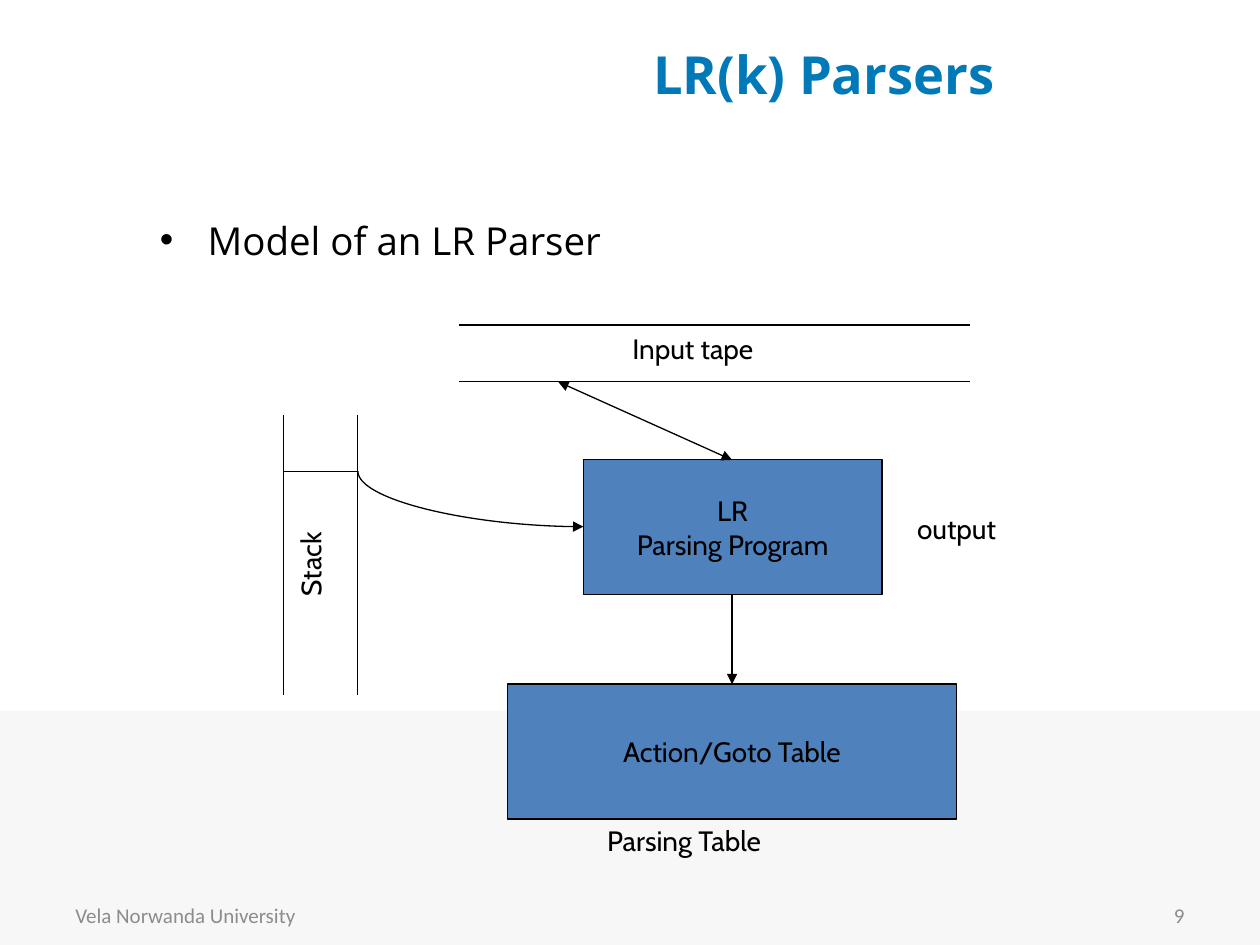
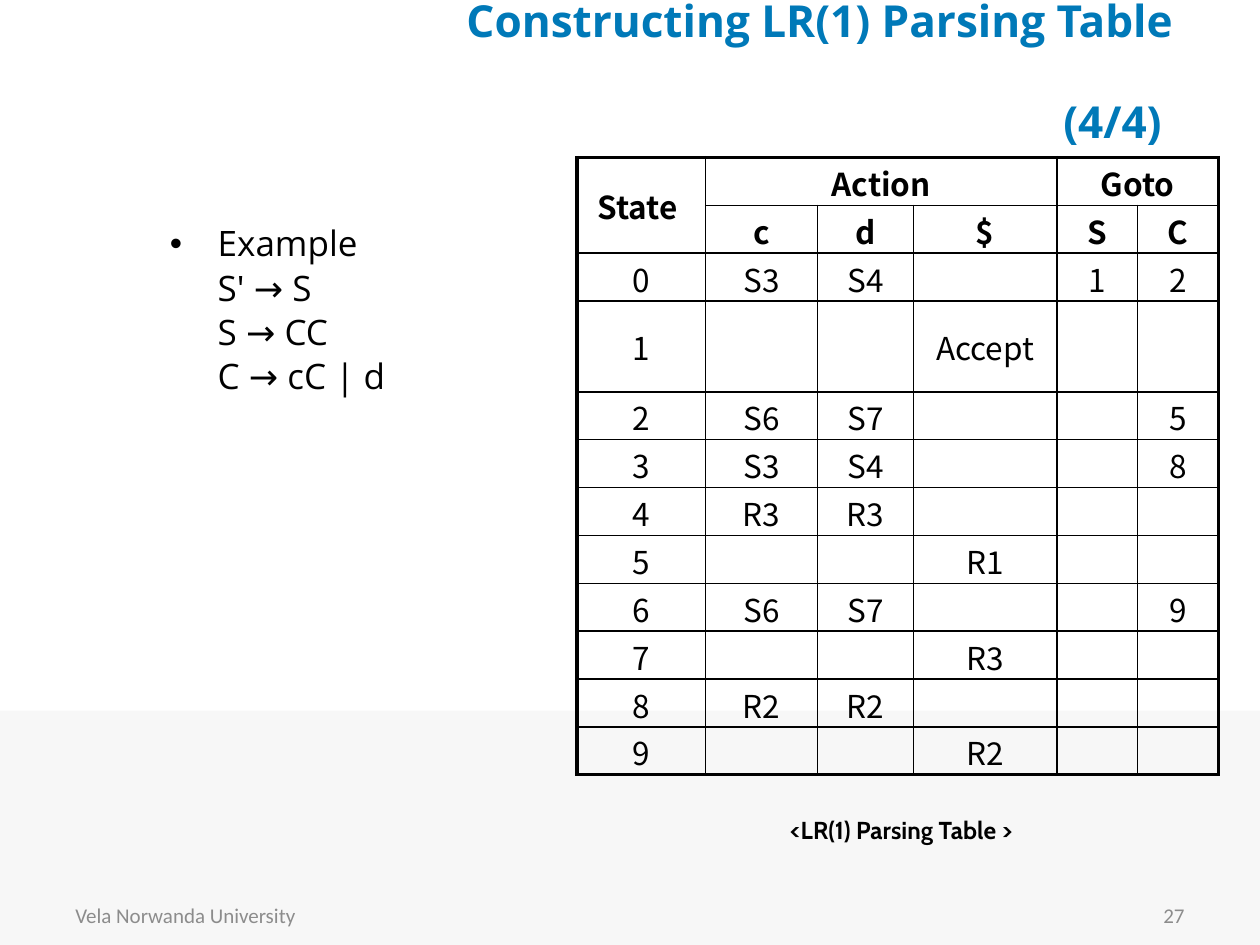
from typing import NamedTuple, Optional

from lxml.etree import SubElement
from pptx import Presentation
from pptx.dml.color import RGBColor
from pptx.enum.shapes import MSO_CONNECTOR as Route, MSO_SHAPE as Preset
from pptx.enum.text import MSO_ANCHOR as Anchor, PP_ALIGN as Align
from pptx.oxml.ns import qn
from pptx.util import Inches, Pt

BLUE_TITLE = RGBColor(0x00, 0x79, 0xB8)
BLUE_BOX = RGBColor(0x4F, 0x81, 0xBD)
GREY_BAND = RGBColor(0xF7, 0xF7, 0xF7)
GREY_FOOTER = RGBColor(0x8C, 0x8C, 0x8C)
BLACK = RGBColor(0, 0, 0)
UNIVERSITY = "Vela Norwanda University"


class Style(NamedTuple):
    font: str
    size: float
    color: RGBColor = BLACK
    bold: bool = False
    align: Align = Align.LEFT
    anchor: Anchor = Anchor.TOP


class Box(NamedTuple):
    left: float
    top: float
    width: float
    height: float

    def lengths(self) -> list:
        return [Inches(value) for value in self]


class Label(NamedTuple):
    text: str
    box: Box
    rotation: float = 0


class Line(NamedTuple):
    x1: float
    y1: float
    x2: float
    y2: float
    head: bool = False
    tail: bool = False


TITLE = Style("Open Sans", 30, BLUE_TITLE, True, Align.CENTER, Anchor.MIDDLE)
LONG_TITLE = TITLE._replace(size=25.2, align=Align.RIGHT)
FOOTER = Style("Calibri", 12, GREY_FOOTER, anchor=Anchor.MIDDLE)
PAGE_NUMBER = FOOTER._replace(align=Align.RIGHT)
DIAGRAM = Style("Cabin", 16)
DIAGRAM_BOX = DIAGRAM._replace(align=Align.CENTER, anchor=Anchor.MIDDLE)
CAPTION = Style("Cabin", 14, bold=True)
CELL = Style("Noto Sans CJK KR", 18, align=Align.CENTER, anchor=Anchor.MIDDLE)
HEADER_CELL = CELL._replace(bold=True)

DIAGRAM_LABELS = [
    Label("output", Box(7.18, 4.01, 1.58, 0.42)),
    Label("Input tape", Box(4.92, 2.58, 1.58, 0.42)),
    Label("Stack", Box(1.8, 3.89, 1.42, 0.46), 270),
    Label("Parsing Table", Box(4.72, 6.49, 2.08, 0.42)),
]
PROCESS_BOXES = [
    Label("LR\vParsing Program", Box(4.63, 3.65, 2.37, 1.07)),
    Label("Action/Goto Table", Box(4.03, 5.43, 3.56, 1.07)),
]
TAPE_EDGES = [Line(3.64, y, 7.7, y) for y in (2.58, 3.03)]
STACK_EDGES = [Line(x, 3.29, x, 5.52) for x in (2.25, 2.84)]
STACK_TOP = Line(2.25, 3.74, 2.84, 3.74)
TAPE_ARROW = Line(4.43, 3.03, 5.81, 3.65, head=True, tail=True)
TABLE_ARROW = Line(5.81, 4.72, 5.81, 5.43, tail=True)
STACK_ARROW = Line(2.84, 3.74, 4.63, 4.18, tail=True)

COLUMN_WIDTHS = [1.02, 0.89, 0.76, 1.14, 0.64, 0.64]
ROW_HEIGHT, ACCEPT_ROW_HEIGHT = 0.38, 0.72
HEADER_ROWS = 2
MERGES = [((0, 0), (1, 0)), ((0, 1), (0, 3)), ((0, 4), (0, 5))]
PARSING_TABLE = [
    ["State ", "Action", "", "", "Goto", ""],
    ["", "c", "d", "$", "S", "C"],
    ["0", "S3", "S4", "", "1", "2"],
    ["1", "", "", "Accept", "", ""],
    ["2", "S6", "S7", "", "", "5"],
    ["3", "S3", "S4", "", "", "8"],
    ["4", "R3", "R3", "", "", ""],
    ["5", "", "", "R1", "", ""],
    ["6", "S6", "S7", "", "", "9"],
    ["7", "", "", "R3", "", ""],
    ["8", "R2", "R2", "", "", ""],
    ["9", "", "", "R2", "", ""],
]


def write(frame, text: str, style: Style) -> None:
    frame.text = text
    frame.vertical_anchor = style.anchor
    for paragraph in frame.paragraphs:
        paragraph.alignment = style.align
        for font in [paragraph.font] + [run.font for run in paragraph.runs]:
            font.name = style.font
            font.size = Pt(style.size)
            font.bold = style.bold
            font.color.rgb = style.color


def add_text(slide, text: str, box: Box, style: Style, rotation: float = 0):
    text_box = slide.shapes.add_textbox(*box.lengths())
    text_box.rotation = rotation
    text_box.text_frame.word_wrap = True
    write(text_box.text_frame, text, style)
    return text_box.text_frame


def add_rectangle(slide, box: Box, fill: RGBColor, outline: Optional[RGBColor] = None):
    rectangle = slide.shapes.add_shape(Preset.RECTANGLE, *box.lengths())
    rectangle.shadow.inherit = False
    rectangle.fill.solid()
    rectangle.fill.fore_color.rgb = fill
    if outline is None:
        rectangle.line.fill.background()
    else:
        rectangle.line.color.rgb = outline
        rectangle.line.width = Pt(0.75)
    return rectangle


def add_line(slide, line: Line, route: Route = Route.STRAIGHT):
    ends = [Inches(value) for value in line[:4]]
    connector = slide.shapes.add_connector(route, *ends)
    connector.line.color.rgb = BLACK
    connector.line.width = Pt(0.75)
    properties = connector._element.spPr
    outline = properties.find(qn("a:ln"))
    for tag, wanted in (("a:headEnd", line.head), ("a:tailEnd", line.tail)):
        if wanted:
            SubElement(outline, qn(tag), type="triangle")
    SubElement(properties, qn("a:effectLst"))
    return connector


def add_quarter_curve(slide, line: Line) -> None:
    """Draw a curve that leaves downwards and arrives from the left."""
    middle_x, middle_y = (line.x1 + line.x2) / 2, (line.y1 + line.y2) / 2
    half_width, half_height = (line.y2 - line.y1) / 2, (line.x2 - line.x1) / 2
    turned = line._replace(x1=middle_x + half_width, y1=middle_y - half_height,
                           x2=middle_x - half_width, y2=middle_y + half_height)
    properties = add_line(slide, turned, Route.CURVE)._element.spPr
    properties.find(qn("a:xfrm")).set("rot", str(270 * 60000))
    properties.find(qn("a:prstGeom")).set("prst", "curvedConnector2")


def add_bullet_text(slide, text: str, box: Box, style: Style, spacing: float = 1) -> None:
    """Put a bullet on the first line and indent the others under it."""
    frame = add_text(slide, text, box, style)
    for index, paragraph in enumerate(frame.paragraphs):
        paragraph.line_spacing = spacing
        paragraph.space_before = Pt(style.size * 0.18 if index else 0)
        properties = paragraph._p.get_or_add_pPr()
        properties.set("marL", str(Inches(0.38)))
        properties.set("indent", str(0 if index else -Inches(0.38)))
        if index == 0:
            bullet_font = SubElement(properties, qn("a:buFont"), typeface="Arial")
            bullet = SubElement(properties, qn("a:buChar"), char="•")
            default_run = properties.find(qn("a:defRPr"))
            if default_run is not None:
                default_run.addprevious(bullet_font)
                default_run.addprevious(bullet)


def add_slide(deck, page: int):
    slide = deck.slides.add_slide(deck.slide_layouts[6])
    add_rectangle(slide, Box(0, 5.64, 10, 1.86), GREY_BAND)
    add_text(slide, UNIVERSITY, Box(0.5, 7.06, 2.33, 0.4), FOOTER)
    add_text(slide, str(page), Box(7.17, 7.06, 2.33, 0.4), PAGE_NUMBER)
    return slide


def row_rule(boundary: int) -> float:
    if boundary in (0, len(PARSING_TABLE)):
        return 2.25
    return 1.5 if boundary == HEADER_ROWS else 1


def column_rule(boundary: int) -> float:
    return 2.25 if boundary in (0, len(COLUMN_WIDTHS)) else 1


def set_borders(cell, row: int, column: int) -> None:
    bottom, right = row + cell.span_height, column + cell.span_width
    widths = {"a:lnL": column_rule(column), "a:lnR": column_rule(right),
              "a:lnT": row_rule(row), "a:lnB": row_rule(bottom)}
    properties = cell._tc.get_or_add_tcPr()
    for tag, width in widths.items():
        border = SubElement(properties, qn(tag), w=str(Pt(width)))
        fill = SubElement(border, qn("a:solidFill"))
        SubElement(fill, qn("a:srgbClr"), val=str(BLACK))


def add_parsing_table(slide) -> None:
    box = Box(4.58, 1.25, 5.08, 4.92)
    table = slide.shapes.add_table(len(PARSING_TABLE), len(COLUMN_WIDTHS),
                                   *box.lengths()).table
    table.first_row = table.horz_banding = False
    for column, width in zip(table.columns, COLUMN_WIDTHS):
        column.width = Inches(width)
    for row, values in zip(table.rows, PARSING_TABLE):
        row.height = Inches(ACCEPT_ROW_HEIGHT if "Accept" in values else ROW_HEIGHT)
    for first, last in MERGES:
        table.cell(*first).merge(table.cell(*last))
    for r, values in enumerate(PARSING_TABLE):
        for c, value in enumerate(values):
            cell = table.cell(r, c)
            if cell.is_spanned:
                continue
            write(cell.text_frame, value, HEADER_CELL if r < HEADER_ROWS else CELL)
            cell.vertical_anchor = Anchor.MIDDLE
            cell.margin_left = cell.margin_right = Inches(0.02)
            cell.margin_top = cell.margin_bottom = Inches(0.02)
            set_borders(cell, r, c)
            cell.fill.background()


def build_parser_model(deck) -> None:
    slide = add_slide(deck, 9)
    add_text(slide, "LR(k) Parsers", Box(3.27, 0.17, 6.54, 0.83), TITLE)
    add_bullet_text(slide, "Model of an LR Parser", Box(1.17, 1.67, 8.25, 1.26),
                    Style("Open Sans", 22))
    for process in PROCESS_BOXES:
        rectangle = add_rectangle(slide, process.box, BLUE_BOX, BLACK)
        rectangle.text_frame.word_wrap = False
        write(rectangle.text_frame, process.text, DIAGRAM_BOX)
    for label in DIAGRAM_LABELS:
        add_text(slide, label.text, label.box, DIAGRAM, label.rotation)
    for line in [*TAPE_EDGES, *STACK_EDGES, STACK_TOP, TAPE_ARROW, TABLE_ARROW]:
        add_line(slide, line)
    add_quarter_curve(slide, STACK_ARROW)


def build_table_construction(deck) -> None:
    slide = add_slide(deck, 27)
    title = add_text(slide, "Constructing LR(1) Parsing Table\n(4/4) ",
                     Box(3.58, 0.17, 5.83, 0.83), LONG_TITLE)
    for paragraph in title.paragraphs:
        paragraph.line_spacing = 0.9
    title.paragraphs[1].space_before = Pt(31)
    add_bullet_text(slide, "Example\nS' → S\nS → CC\nC → cC | d",
                    Box(1.25, 1.75, 3, 5.14), Style("Open Sans", 20), 0.9)
    add_parsing_table(slide)
    add_text(slide, "<LR(1) Parsing Table >", Box(6.17, 6.42, 2.68, 0.33), CAPTION)


def main() -> None:
    deck = Presentation()
    deck.slide_width, deck.slide_height = Inches(10), Inches(7.5)
    build_parser_model(deck)
    build_table_construction(deck)
    deck.save("out.pptx")


if __name__ == "__main__":
    main()
